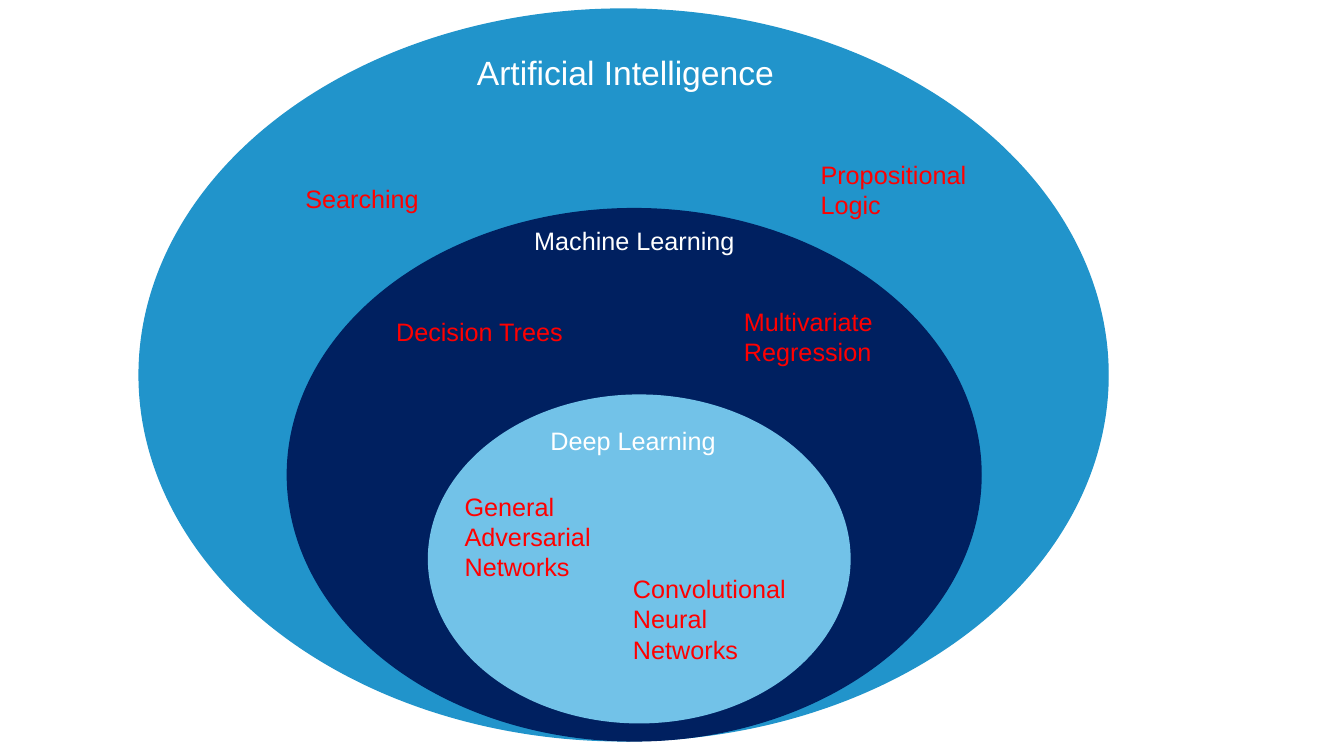
from pptx import Presentation
from pptx.dml.color import RGBColor
from pptx.enum.shapes import MSO_SHAPE
from pptx.enum.text import MSO_ANCHOR, MSO_AUTO_SIZE, PP_ALIGN
from pptx.util import Inches, Pt

OVAL = MSO_SHAPE.OVAL
TOP = MSO_ANCHOR.TOP
GROW = MSO_AUTO_SIZE.SHAPE_TO_FIT_TEXT
LEFT = PP_ALIGN.LEFT

WHITE, RED = "FFFFFF", "FF0000"
TITLE_ONLY = 5

# Boxes are left, top, width, height in inches
FIELDS = [
    ("2194CB", (1.38, 0.09, 9.61, 7.26)),
    ("002060", (2.85, 2.07, 6.88, 5.28)),
    ("72C2E8", (4.25, 3.92, 4.18, 3.25)),
]
TITLE = ("Artificial Intelligence", (4.63, 0.46, 3.33, 0.5))
FIELD_NAMES = [
    ("Machine Learning", (5.2, 2.19, 2.39, 0.4)),
    ("Deep Learning", (5.36, 4.17, 2.08, 0.4)),
]
METHODS = [
    ("Searching", (2.93, 1.77, 1.53, 0.4)),
    ("Propositional Logic", (8.04, 1.53, 2.14, 0.71)),
    ("Decision Trees", (3.83, 3.09, 2.62, 0.4)),
    ("Multivariate Regression", (7.28, 2.99, 1.83, 0.71)),
    ("General Adversarial Networks", (4.51, 4.82, 1.67, 1.01)),
    ("Convolutional Neural Networks", (6.18, 5.64, 1.93, 1.01)),
]


def rgb(color):
    return RGBColor.from_string(color)


def inches(box):
    return [Inches(v) for v in box]


def add_field(s, color, box):
    sp = s.shapes.add_shape(OVAL, *inches(box))
    sp.shadow.inherit = False
    sp.fill.solid()
    sp.fill.fore_color.rgb = rgb(color)
    sp.line.color.rgb = rgb(color)
    sp.line.width = Pt(1)


def write(sp, text, color, size=18):
    tf = sp.text_frame
    tf.word_wrap = True
    tf.auto_size = GROW
    tf.vertical_anchor = TOP
    p = tf.paragraphs[0]
    p.text = text
    p.alignment = LEFT
    p.line_spacing = 1.0
    p.font.name = "Arial"
    p.font.size = Pt(size)
    p.font.color.rgb = rgb(color)


def add_title(s, text, box):
    """Fill the title placeholder and bring it in front of the ovals."""
    title = s.shapes.title
    title.left, title.top, title.width, title.height = inches(box)
    write(title, text, WHITE, 24)
    s.shapes.element.append(title.element)


def main():
    prs = Presentation()
    prs.slide_width, prs.slide_height = Inches(13.33), Inches(7.5)
    s = prs.slides.add_slide(prs.slide_layouts[TITLE_ONLY])

    for color, box in FIELDS:
        add_field(s, color, box)
    add_title(s, *TITLE)
    for labels, color in ((FIELD_NAMES, WHITE), (METHODS, RED)):
        for text, box in labels:
            write(s.shapes.add_textbox(*inches(box)), text, color)

    prs.save("out.pptx")


if __name__ == "__main__":
    main()
